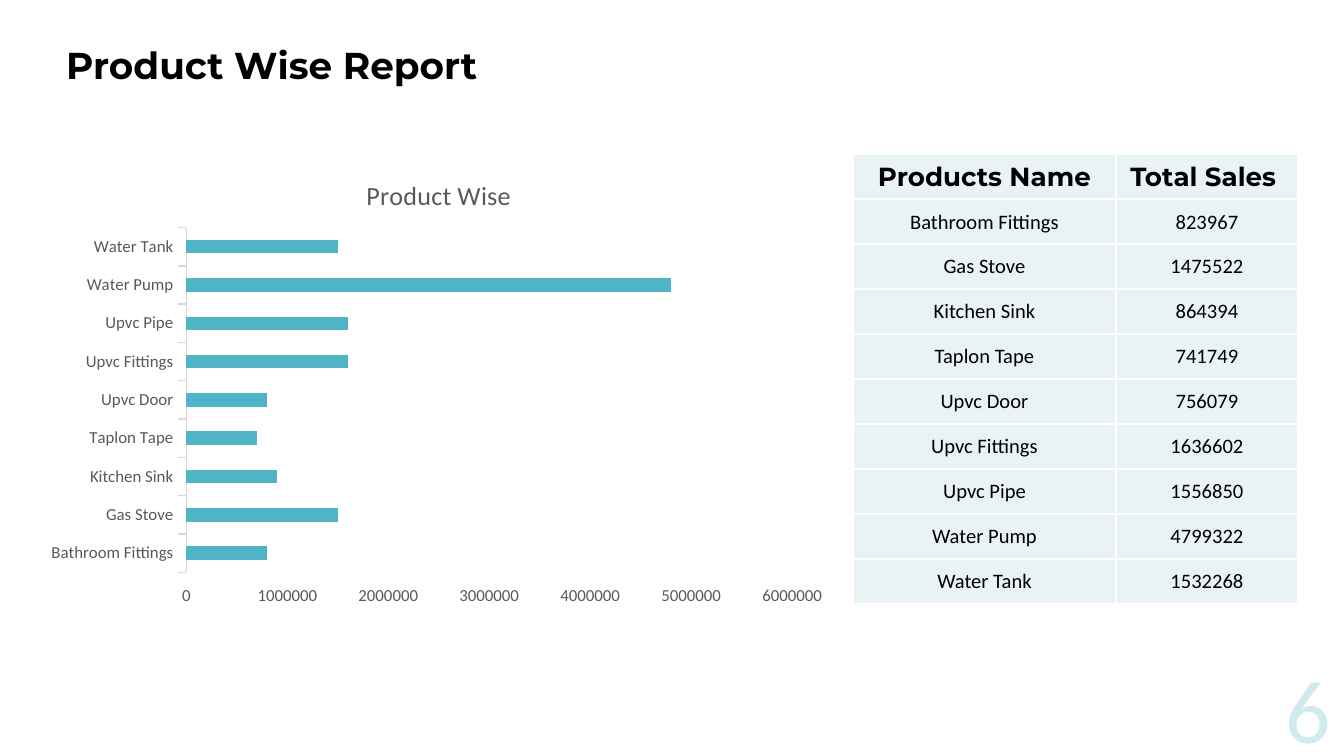
from dataclasses import dataclass

from lxml.etree import SubElement
from pptx import Presentation
from pptx.chart.data import CategoryChartData
from pptx.dml.color import RGBColor
from pptx.enum.chart import XL_CHART_TYPE, XL_TICK_MARK
from pptx.enum.text import MSO_ANCHOR, PP_ALIGN
from pptx.oxml import parse_xml
from pptx.oxml.ns import nsdecls, qn
from pptx.util import Emu, Pt


@dataclass(frozen=True)
class Theme:
    heading_font: str = "Montserrat"
    body_font: str = "Calibri"
    black: RGBColor = RGBColor.from_string("000000")
    grey: RGBColor = RGBColor.from_string("595959")
    axis: RGBColor = RGBColor.from_string("D9D9D9")
    bar: RGBColor = RGBColor.from_string("50B4C8")
    cell: RGBColor = RGBColor.from_string("E9F2F5")
    number: RGBColor = RGBColor.from_string("D1EAF0")
    title_size: int = 20
    header_size: int = 14
    cell_size: int = 11
    chart_title_size: int = 14
    label_size: int = 9
    number_size: int = 48


theme = Theme()
PX = 914400 / 134.4


def px(*lengths):
    return [Emu(round(length * PX)) for length in lengths]


def style(font, name, size, color, bold=False):
    font.name = name
    font.size = Pt(size)
    font.color.rgb = color
    font.bold = bold


sales = [
    ("Bathroom Fittings", 823967),
    ("Gas Stove", 1475522),
    ("Kitchen Sink", 864394),
    ("Taplon Tape", 741749),
    ("Upvc Door", 756079),
    ("Upvc Fittings", 1636602),
    ("Upvc Pipe", 1556850),
    ("Water Pump", 4799322),
    ("Water Tank", 1532268),
]

presentation = Presentation()
presentation.slide_width, presentation.slide_height = px(1344, 756)
slide = presentation.slides.add_slide(presentation.slide_layouts[6])

chart_data = CategoryChartData()
chart_data.categories = [product for product, total in sales]
chart_data.add_series("Product Wise", [round(total, -5) for product, total in sales])
chart = slide.shapes.add_chart(
    XL_CHART_TYPE.BAR_CLUSTERED, *px(35, 154, 797, 460), chart_data
).chart
chart.has_legend = False
style(chart.font, theme.body_font, theme.label_size, theme.grey)

chart.has_title = True
run = chart.chart_title.text_frame.paragraphs[0].add_run()
run.text = "Product Wise"
style(run.font, theme.body_font, theme.chart_title_size, theme.grey)

plot = chart.plots[0]
plot.gap_width = 182
plot.vary_by_categories = False
bars = plot.series[0].format.fill
bars.solid()
bars.fore_color.rgb = theme.bar

category_axis = chart.category_axis
category_axis.format.line.color.rgb = theme.axis
category_axis.format.line.width = Pt(0.75)

value_axis = chart.value_axis
value_axis.minimum_scale = 0
value_axis.maximum_scale = 6000000
value_axis.major_unit = 1000000
value_axis.has_major_gridlines = False
value_axis.format.line.fill.background()
for axis in (category_axis, value_axis):
    axis.major_tick_mark = XL_TICK_MARK.OUTSIDE
    style(axis.tick_labels.font, theme.body_font, theme.label_size, theme.grey)

chart_xml = plot._element.getparent().getparent()
layouts = [
    ("c:title", 1, {"xMode": "edge", "yMode": "edge", "x": 0.41, "y": 0.04}),
    ("c:plotArea", 0, {"layoutTarget": "inner", "xMode": "edge", "yMode": "edge",
                       "x": 0.19, "y": 0.16, "w": 0.76, "h": 0.75}),
]
for tag, position, settings in layouts:
    parent = chart_xml.find(qn(tag))
    for old_layout in parent.findall(qn("c:layout")):
        parent.remove(old_layout)
    layout = parse_xml(f"<c:layout {nsdecls('c')}><c:manualLayout/></c:layout>")
    for name, value in settings.items():
        SubElement(layout[0], qn(f"c:{name}")).set("val", str(value))
    parent.insert(position, layout)

title_box = slide.shapes.add_textbox(*px(53, 36, 645, 59))
title_box.text_frame.word_wrap = True
run = title_box.text_frame.paragraphs[0].add_run()
run.text = "Product Wise Report"
style(run.font, theme.heading_font, theme.title_size, theme.black, True)

rows = [("Products Name", "Total Sales ")] + sales
table = slide.shapes.add_table(len(rows), 2, *px(853, 154, 445, 450)).table
for column, width in zip(table.columns, px(263, 182)):
    column.width = width
for row in table.rows:
    row.height = px(45)[0]

for row_index, values in enumerate(rows):
    for column_index, value in enumerate(values):
        cell = table.cell(row_index, column_index)
        cell.vertical_anchor = MSO_ANCHOR.MIDDLE
        cell.margin_left, cell.margin_top, cell.margin_right, cell.margin_bottom = px(1, 1, 1, 0)
        for side in "LRTB":
            cell._tc.get_or_add_tcPr().append(parse_xml(
                f'<a:ln{side} {nsdecls("a")} w="12700"><a:solidFill>'
                f'<a:srgbClr val="FFFFFF"/></a:solidFill></a:ln{side}>'
            ))
        cell.fill.solid()
        cell.fill.fore_color.rgb = theme.cell
        paragraph = cell.text_frame.paragraphs[0]
        paragraph.alignment = PP_ALIGN.CENTER
        run = paragraph.add_run()
        run.text = str(value)
        if row_index == 0:
            style(run.font, theme.heading_font, theme.header_size, theme.black, True)
        else:
            style(run.font, theme.body_font, theme.cell_size, theme.black)

number_box = slide.shapes.add_textbox(*px(1251, 654, 80, 102))
frame = number_box.text_frame
frame.word_wrap = True
frame.margin_left = frame.margin_top = frame.margin_right = frame.margin_bottom = 0
paragraph = frame.paragraphs[0]
paragraph.alignment = PP_ALIGN.RIGHT
run = paragraph.add_run()
run.text = "6"
style(run.font, theme.body_font, theme.number_size, theme.number)

presentation.save("out.pptx")
